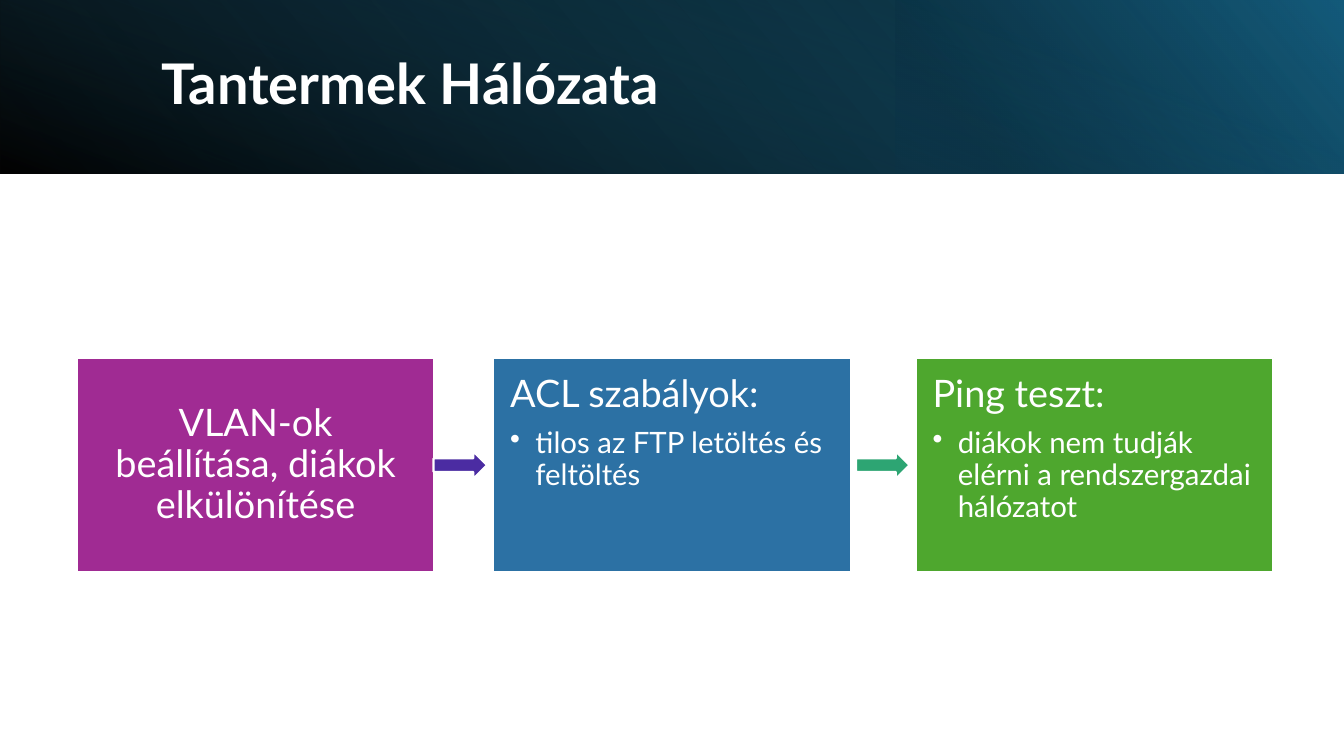
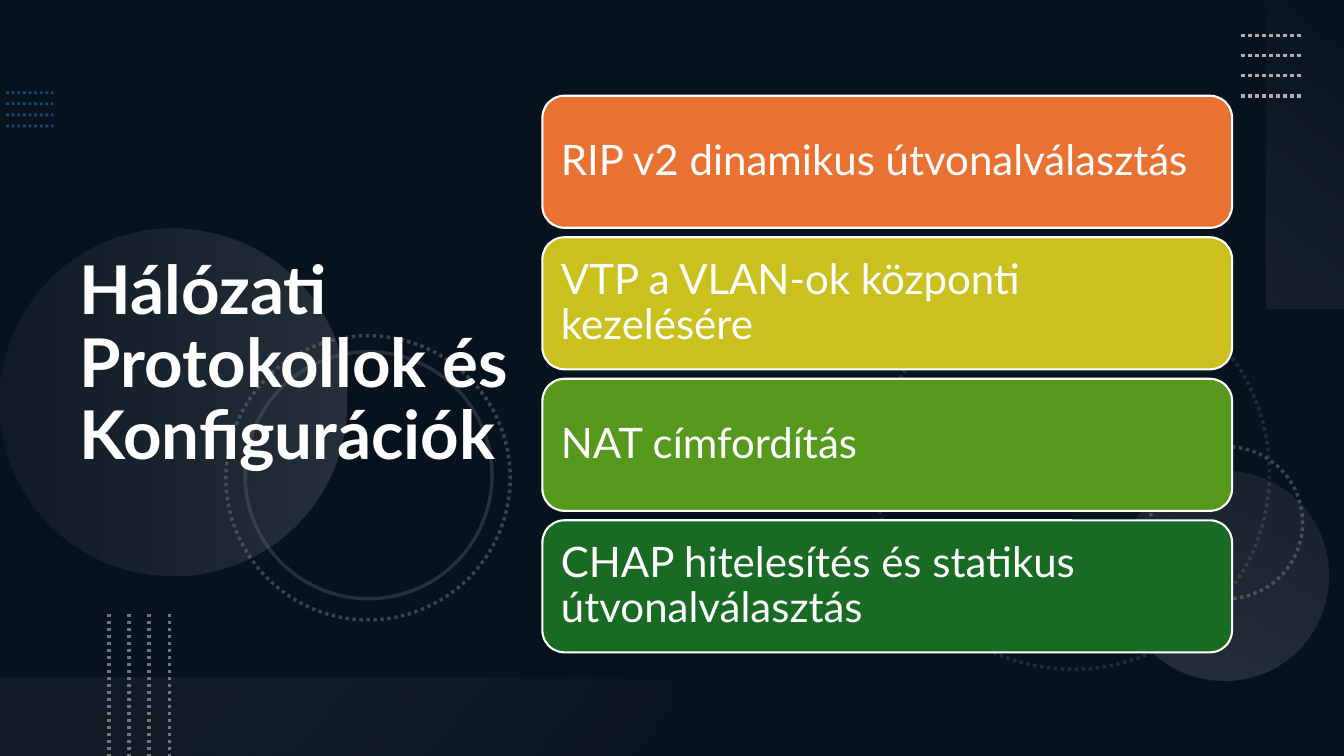
import pptx
import pptx.util
import pptx.dml.color
import pptx.enum.dml
import pptx.enum.shapes
import pptx.enum.text
import pptx.oxml
import pptx.oxml.ns

Inches, Pt = pptx.util.Inches, pptx.util.Pt
SHAPE = pptx.enum.shapes.MSO_SHAPE
ALIGN = pptx.enum.text.PP_ALIGN
ANCHOR = pptx.enum.text.MSO_ANCHOR
qn = pptx.oxml.ns.qn

# Shared look
WIDTH, HEIGHT = 13.33, 7.5
FONT = "Lato"
LINE_SPACING = 0.9
COLORS = {
    "white": "FFFFFF", "black": "000000", "navy": "0E2841",
    "teal": "156082", "deep_teal": "104862", "dark_teal": "0B3041",
    "sky": "2D7FCF", "gray": "747474", "silver": "AEAEAE",
    "pale": "F6F6F6", "paler": "F1F1F1",
    "purple": "A02B93", "blue": "2C71A4", "green": "4EA72E",
    "violet": "4B2CA2", "mint": "2DA573",
    "orange": "E97132", "yellow": "CBC11E", "leaf": "56991D", "forest": "196B24",
}

# Slide 1: content
CLASSROOM_TITLE = "Tantermek Hálózata"
STEPS = [  # left, colour, heading, bullet
    (0.76, "purple", "VLAN-ok beállítása, diákok elkülönítése", None),
    (4.89, "blue", "ACL szabályok:", "tilos az FTP letöltés és feltöltés"),
    (9.08, "green", "Ping teszt:", "diákok nem tudják elérni a rendszergazdai hálózatot"),
]
ARROWS = ["violet", "mint"]
BAND = 1.72
BAND_LAYERS = [  # box, rotation, flipped, stops (position, colour, alpha), angle
    ((0, 0, WIDTH, BAND), 0, True, [(0, "black", 96), (100, "deep_teal", 100)], 140),
    ((WIDTH * 2 / 3, 0, WIDTH / 3, BAND), 180, True,
     [(19, "dark_teal", 68), (100, "teal", 79)], 320),
    (((WIDTH - BAND) / 2, (BAND - WIDTH) / 2, BAND, WIDTH), 90, False,
     [(23, "teal", 0), (99, "black", 74)], 340),
]

# Slide 2: content
PROTOCOL_TITLE = "Hálózati Protokollok és Konfigurációk"
PROTOCOLS = [
    ("orange", "RIP v2 dinamikus útvonalválasztás"),
    ("yellow", "VTP a VLAN-ok központi kezelésére"),
    ("leaf", "NAT címfordítás"),
    ("forest", "CHAP hitelesítés és statikus útvonalválasztás"),
]
RINGS_BEHIND = [  # left, top, diameter, rotation, dotted, alpha
    (8.69, 2.74, 3.9, 75, True, 25),
    (11.41, 4.43, 1.51, 270, True, 50),
]
DISCS = [  # left, top, diameter, rotation, stops
    (0, 2.27, 3.44, 270, [(0, "silver", 20), (100, "gray", 10)]),
    (11.1, 4.67, 2.08, 210, [(0, "silver", 10), (100, "silver", 20)]),
]
RINGS_FRONT = [
    (2.24, 3.33, 2.82, 75, True, 50),
    (2.43, 3.49, 2.45, 75, False, 30),
]
PANELS = [  # box, rotation, stops
    ((11.42, 1.14, 3.06, 0.78), 270, [(0, "pale", 0), (100, "silver", 10)]),
    ((0, HEIGHT - 0.78, WIDTH / 2, 0.78), 180, [(10, "gray", 10), (100, "paler", 0)]),
]
DOT_ROWS = [  # first line (x1, y1, x2, y2), step (dx, dy), colour, weight, alpha
    ((0.06, 0.92, 0.53, 0.92), (0, 0.11), "sky", 2, 50),
    ((12.31, 0.35, 12.91, 0.35), (0, 0.2), "silver", 2.5, 100),
    ((1.08, 6.09, 1.08, HEIGHT), (0.2, 0), "gray", 2.5, 100),
]


def rgb(name):
    return pptx.dml.color.RGBColor.from_string(COLORS[name])


def set_alpha(parent, alpha):
    if alpha < 100:
        color = next(parent.iter(qn("a:srgbClr")))
        pptx.oxml.parse_xml(
            '<a:alpha xmlns:a="http://schemas.openxmlformats.org/drawingml/2006/main"/>')
        color.makeelement
        mark = color.makeelement(qn("a:alpha"), {"val": str(alpha * 1000)})
        color.append(mark)


def add_box(slide, kind, box, fill=None, rotation=0):
    shape = slide.shapes.add_shape(kind, *map(Inches, box))
    shape.shadow.inherit = False
    shape.rotation = rotation
    shape.line.fill.background()
    if fill:
        shape.fill.solid()
        shape.fill.fore_color.rgb = rgb(fill)
    else:
        shape.fill.background()
    return shape


def outline(line, color, weight, dotted=False, alpha=100):
    line.color.rgb = rgb(color)
    line.width = Pt(weight)
    if dotted:
        line.dash_style = pptx.enum.dml.MSO_LINE.ROUND_DOT
    set_alpha(line.fill._xPr, alpha)


def add_gradient(slide, kind, box, rotation, stops, angle, flipped=False):
    shape = add_box(slide, kind, box, rotation=rotation)
    shape.fill.gradient()
    shape.fill.gradient_angle = angle
    marks = shape._element.spPr.iter(qn("a:gs"))
    for stop, mark, (position, color, alpha) in zip(shape.fill.gradient_stops, marks, stops):
        stop.position = position / 100
        stop.color.rgb = rgb(color)
        set_alpha(mark, alpha)
    if flipped:
        shape._element.spPr.find(qn("a:xfrm")).set("flipH", "1")


def add_ring(slide, left, top, size, rotation, dotted, alpha):
    ring = add_box(slide, SHAPE.OVAL, (left, top, size, size), rotation=rotation)
    outline(ring.line, "gray", 2.5, dotted, alpha)


def add_dot_rows(slide, first, step, color, weight, alpha):
    for i in range(4):
        ends = [Inches(first[k] + i * step[k % 2]) for k in range(4)]
        row = slide.shapes.add_connector(pptx.enum.shapes.MSO_CONNECTOR.STRAIGHT, *ends)
        outline(row.line, color, weight, True, alpha)
        properties = row._element.spPr
        properties.append(properties.makeelement(qn("a:effectLst"), {}))


def style(paragraph, size, bold=False, align=ALIGN.LEFT, after=0):
    paragraph.font.name = FONT
    paragraph.font.size = Pt(size)
    paragraph.font.bold = bold
    paragraph.font.color.rgb = rgb("white")
    paragraph.alignment = align
    paragraph.line_spacing = LINE_SPACING
    paragraph.space_before = Pt(0)
    paragraph.space_after = Pt(after)


def prepare_frame(shape, inset, anchor):
    frame = shape.text_frame
    frame.word_wrap = True
    frame.vertical_anchor = anchor
    frame.margin_left = frame.margin_right = Inches(inset)
    frame.margin_top = frame.margin_bottom = Inches(inset)
    return frame


def add_bullet(paragraph):
    properties = paragraph._p.get_or_add_pPr()
    properties.set("marL", str(Inches(0.25)))
    properties.set("indent", str(-Inches(0.25)))
    properties.append(properties.makeelement(qn("a:buChar"), {"char": "•"}))


def new_slide(deck, background):
    slide = deck.slides.add_slide(deck.slide_layouts[5])
    slide.background.fill.solid()
    slide.background.fill.fore_color.rgb = rgb(background)
    return slide


def set_title(slide, text, box, size):
    title = slide.shapes.title
    title.left, title.top, title.width, title.height = map(Inches, box)
    title.text = text
    frame = title.text_frame
    frame.auto_size = pptx.enum.text.MSO_AUTO_SIZE.NONE
    frame.word_wrap = True
    frame.vertical_anchor = ANCHOR.MIDDLE
    style(frame.paragraphs[0], size, bold=True)
    # Bring the title above the decoration drawn so far
    slide.shapes._spTree.append(title._element)


def build_classrooms(deck):
    slide = new_slide(deck, "white")
    for box, rotation, flipped, stops, angle in BAND_LAYERS:
        add_gradient(slide, SHAPE.RECTANGLE, box, rotation, stops, angle, flipped)
    set_title(slide, CLASSROOM_TITLE, (1.5, 0.38, 10.98, 0.96), 40)

    # Process boxes, each after the first led in by an arrow
    top, width, height = 3.55, 3.55, 2.13
    arrow_width, arrow_height, arrow_gap = 0.53, 0.27, 0.06
    for i, (left, color, heading, bullet) in enumerate(STEPS):
        if i:
            arrow = add_box(slide, SHAPE.RIGHT_ARROW,
                            (left - arrow_gap - arrow_width, top + (height - arrow_height) / 2,
                             arrow_width, arrow_height), ARROWS[i - 1])
            outline(arrow.line, "white", 1.5)
        step = add_box(slide, SHAPE.RECTANGLE, (left, top, width, height), color)
        outline(step.line, "white", 1.5)
        frame = prepare_frame(step, 0.17, ANCHOR.TOP if bullet else ANCHOR.MIDDLE)
        frame.text = heading
        style(frame.paragraphs[0], 27, after=9 if bullet else 0,
              align=ALIGN.LEFT if bullet else ALIGN.CENTER)
        if bullet:
            detail = frame.add_paragraph()
            detail.text = bullet
            style(detail, 21, after=3)
            add_bullet(detail)


def build_protocols(deck):
    slide = new_slide(deck, "navy")
    veil = add_box(slide, SHAPE.RECTANGLE, (0, 0, WIDTH, HEIGHT), "black")
    set_alpha(veil._element.spPr, 53)

    # Background decoration
    for ring in RINGS_BEHIND:
        add_ring(slide, *ring)
    for left, top, size, rotation, stops in DISCS:
        add_gradient(slide, SHAPE.OVAL, (left, top, size, size), rotation, stops, 90)
    for ring in RINGS_FRONT:
        add_ring(slide, *ring)
    for box, rotation, stops in PANELS:
        add_gradient(slide, SHAPE.RECTANGLE, box, rotation, stops, 140)
    for rows in DOT_ROWS:
        add_dot_rows(slide, *rows)
    set_title(slide, PROTOCOL_TITLE, (0.69, 0.54, 4.59, 6.17), 48)

    # Protocol list
    first_top, pitch = 0.95, 1.404
    for i, (color, text) in enumerate(PROTOCOLS):
        card = add_box(slide, SHAPE.ROUNDED_RECTANGLE,
                       (5.38, first_top + i * pitch, 6.84, 1.31), color)
        outline(card.line, "white", 1.5)
        frame = prepare_frame(card, 0.12, ANCHOR.MIDDLE)
        frame.text = text
        style(frame.paragraphs[0], 30)


def main():
    deck = pptx.Presentation()
    deck.slide_width, deck.slide_height = Inches(WIDTH), Inches(HEIGHT)
    build_classrooms(deck)
    build_protocols(deck)
    deck.save("out.pptx")


if __name__ == "__main__":
    main()
